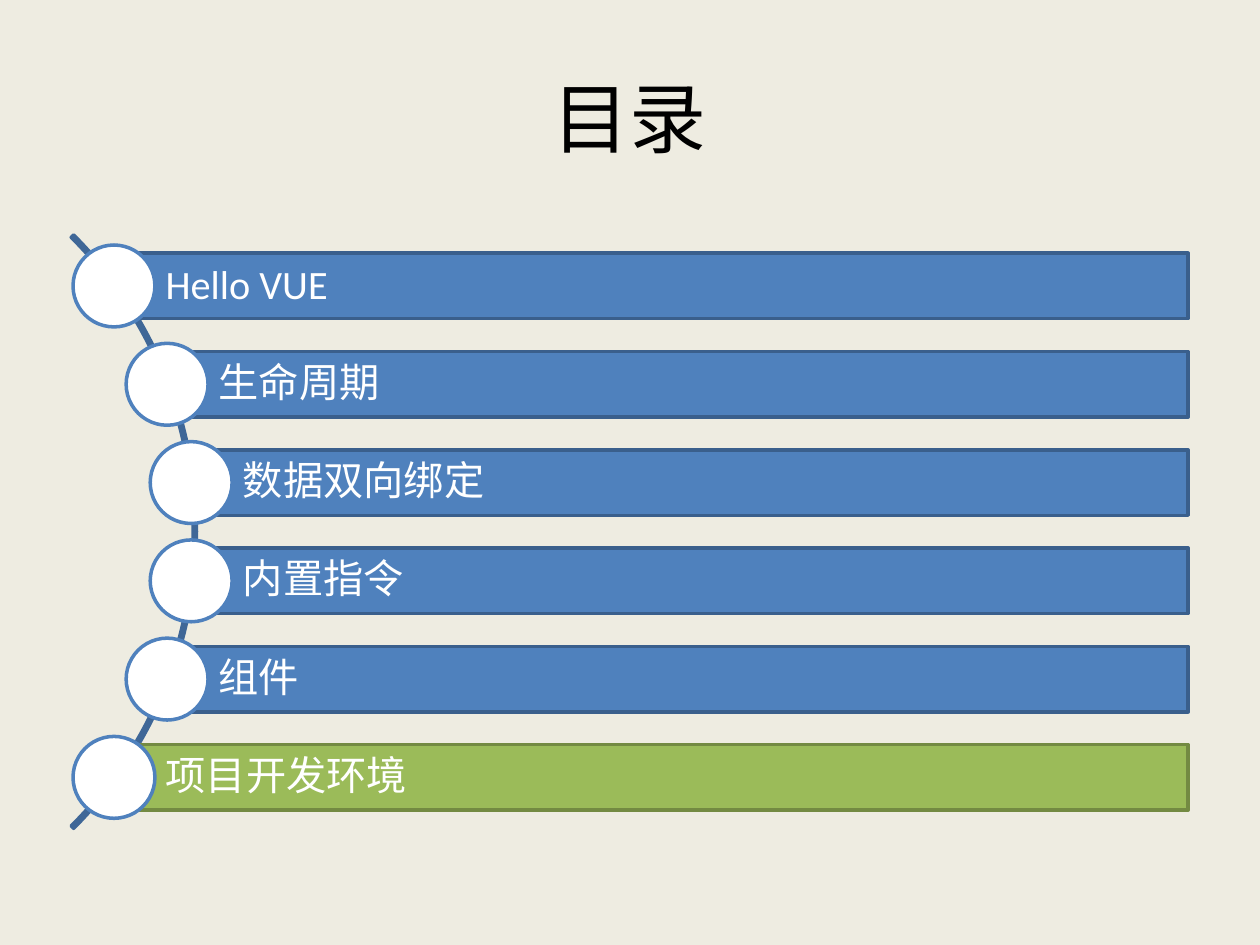
from math import sqrt

from pptx import Presentation
from pptx.dml.color import RGBColor
from pptx.enum.shapes import MSO_SHAPE
from pptx.enum.text import MSO_ANCHOR, PP_ALIGN
from pptx.util import Inches, Pt

CREAM = RGBColor(0xEE, 0xEC, 0xE1)
BLACK = RGBColor(0x00, 0x00, 0x00)
WHITE = RGBColor(0xFF, 0xFF, 0xFF)
BLUE = RGBColor(0x4F, 0x81, 0xBD)
DARK_BLUE = RGBColor(0x3A, 0x5F, 0x8C)
ARC_BLUE = RGBColor(0x3F, 0x67, 0x97)
GREEN = RGBColor(0x9B, 0xBB, 0x59)
DARK_GREEN = RGBColor(0x73, 0x8A, 0x42)

TOPICS = ["Hello VUE", "生命周期", "数据双向绑定", "内置指令", "组件", "项目开发环境"]

# Geometry in inches: the markers sit on a circle just inside the arc
ARC_X, ARC_Y, ARC_RADIUS = -1.77, 4.22, 3.33
MARKER_RADIUS, MARKER_SIZE = 3.31, 0.65
ROW_STEP, BAR_HEIGHT, BAR_RIGHT = 0.78, 0.52, 9.43


def write_text(frame, text, size, color, align=PP_ALIGN.LEFT, line_spacing=None):
    frame.word_wrap = True
    frame.vertical_anchor = MSO_ANCHOR.MIDDLE
    para = frame.paragraphs[0]
    para.alignment = align
    para.line_spacing = line_spacing
    span = para.add_run()
    span.text = text
    span.font.name = "Calibri"
    span.font.size = Pt(size)
    span.font.color.rgb = color


def add_outlined(shapes, kind, left, top, width, height, line, fill=None):
    shape = shapes.add_shape(kind, Inches(left), Inches(top), Inches(width), Inches(height))
    shape.shadow.inherit = False
    if fill is None:
        shape.fill.background()
    else:
        shape.fill.solid()
        shape.fill.fore_color.rgb = fill
    shape.line.color.rgb = line
    shape.line.width = Pt(2)
    return shape


def add_arc(shapes):
    size = 2 * ARC_RADIUS
    arc = add_outlined(shapes, MSO_SHAPE.BLOCK_ARC, ARC_X - ARC_RADIUS,
                       ARC_Y - ARC_RADIUS, size, size, ARC_BLUE)
    # Start angle, end angle, thickness
    for index, value in enumerate((189, 27, 0.004)):
        arc.adjustments[index] = value


def add_topic(shapes, text, offset, fill, line):
    """Add one bar and its round marker, offset vertically from the arc's middle."""
    x = ARC_X + sqrt(MARKER_RADIUS ** 2 - offset ** 2)
    y = ARC_Y + offset
    bar = add_outlined(shapes, MSO_SHAPE.RECTANGLE, x, y - BAR_HEIGHT / 2,
                       BAR_RIGHT - x, BAR_HEIGHT, line, fill)
    frame = bar.text_frame
    frame.margin_left = Inches(0.41)
    frame.margin_top = frame.margin_right = frame.margin_bottom = Inches(0.06)
    write_text(frame, text, 23, WHITE, line_spacing=0.9)
    add_outlined(shapes, MSO_SHAPE.OVAL, x - MARKER_SIZE / 2, y - MARKER_SIZE / 2,
                 MARKER_SIZE, MARKER_SIZE, BLUE, WHITE)


def main():
    deck = Presentation()
    deck.slide_width, deck.slide_height = Inches(10), Inches(7.5)
    page = deck.slides.add_slide(deck.slide_layouts[5])
    page.background.fill.solid()
    page.background.fill.fore_color.rgb = CREAM

    # Title
    title = page.shapes.title
    title.left, title.top = Inches(0.5), Inches(0.3)
    title.width, title.height = Inches(9), Inches(1.25)
    write_text(title.text_frame, "目录", 44, BLACK, align=PP_ALIGN.CENTER)

    # Topic list along the arc, with the last topic highlighted
    diagram = page.shapes.add_group_shape().shapes
    add_arc(diagram)
    middle = (len(TOPICS) - 1) / 2
    for index, topic in enumerate(TOPICS):
        is_last = index == len(TOPICS) - 1
        fill, line = (GREEN, DARK_GREEN) if is_last else (BLUE, DARK_BLUE)
        add_topic(diagram, topic, (index - middle) * ROW_STEP, fill, line)

    deck.save("out.pptx")


if __name__ == "__main__":
    main()
